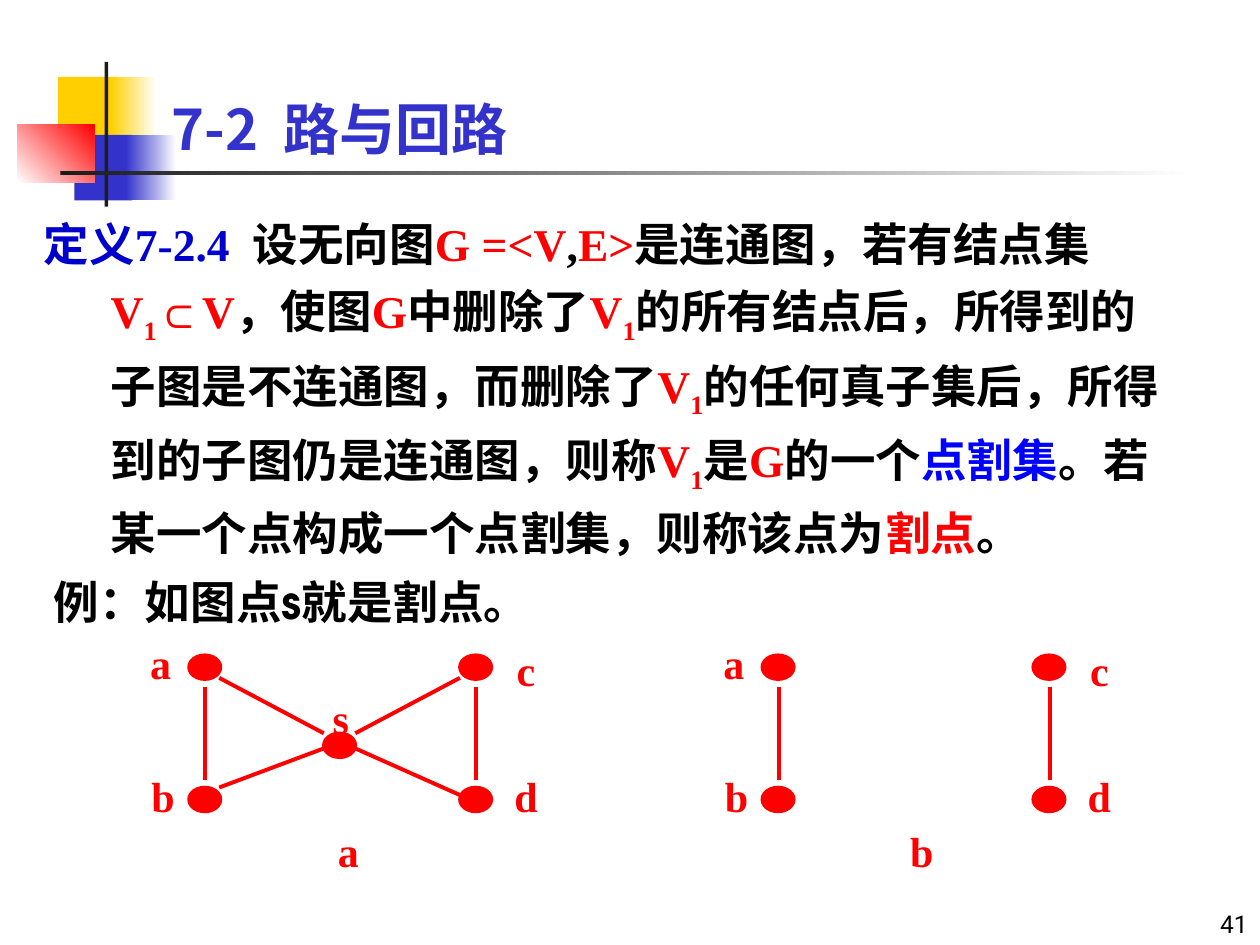
from dataclasses import dataclass
from typing import Optional

from lxml import etree
from pptx import Presentation
from pptx.dml.color import RGBColor
from pptx.enum.shapes import MSO_CONNECTOR, MSO_SHAPE
from pptx.enum.text import MSO_ANCHOR, MSO_AUTO_SIZE, PP_ALIGN
from pptx.oxml.ns import qn
from pptx.util import Inches, Pt

RECTANGLE, OVAL = MSO_SHAPE.RECTANGLE, MSO_SHAPE.OVAL
STRAIGHT = MSO_CONNECTOR.STRAIGHT
TOP, BOTTOM = MSO_ANCHOR.TOP, MSO_ANCHOR.BOTTOM
LEFT, CENTER, RIGHT = PP_ALIGN.LEFT, PP_ALIGN.CENTER, PP_ALIGN.RIGHT
NO_AUTOFIT = MSO_AUTO_SIZE.NONE

COLORS = {
    "yellow": "FFCF01", "indigo": "3333CC", "red": "FF0000", "white": "FFFFFF",
    "charcoal": "1C1C1C", "black": "000000", "navy": "0000CC", "blue": "0000FF",
}
SERIF, CJK = "Times New Roman", "Noto Sans CJK SC"
NODE_WIDTH, NODE_HEIGHT = 0.25, 0.19
LABEL_WIDTH, LABEL_HEIGHT = 0.55, 0.5


@dataclass(frozen=True)
class Block:
    left: float
    top: float
    width: float
    height: float
    start: str
    end: Optional[str] = None
    angle: float = 0


@dataclass(frozen=True)
class Span:
    text: str
    color: str = "black"
    subscript: bool = False


@dataclass(frozen=True)
class Label:
    text: str
    left: float
    top: float


@dataclass(frozen=True)
class Graph:
    left: float
    labels: tuple
    nodes: tuple
    edges: tuple


ORNAMENTS = (
    Block(0.46, 0.61, 0.48, 0.52, "yellow"),
    Block(0.88, 0.61, 0.36, 0.52, "yellow", "white"),
    Block(0.59, 1.07, 0.46, 0.52, "indigo"),
    Block(1, 1.07, 0.4, 0.52, "indigo", "white"),
    Block(0.14, 0.99, 0.61, 0.46, "white", "red", 45),
    Block(0.83, 0.49, 0.03, 1.15, "charcoal"),
    Block(0.48, 1.36, 9, 0.03, "charcoal", "white"),
)

V1 = (Span("V", "red"), Span("1", "red", True))
DEFINITION = (
    Span("定义7-2.4  ", "navy"), Span("设无向图"), Span("G =<V", "red"), Span(","),
    Span("E>", "red"), Span("是连通图，若有结点集"), *V1, Span("⊂V", "red"),
    Span("，使图"), Span("G", "red"), Span("中删除了"), *V1,
    Span("的所有结点后，所得到的子图是不连通图，而删除了"), *V1,
    Span("的任何真子集后，所得到的子图仍是连通图，则称"), *V1, Span("是"),
    Span("G", "red"), Span("的一个"), Span("点割集", "blue"),
    Span("。若某一个点构成一个点割集，则称该点为"), Span("割点", "red"), Span("。"),
)

CORNER_LABELS = (
    Label("a", 0, 0), Label("b", 0.02, 1.06), Label("c", 2.9, 0.06), Label("d", 2.9, 1.06),
)
CORNER_NODES = ((0.5, 0.19), (0.5, 1.24), (2.65, 0.19), (2.65, 1.24))
SIDE_EDGES = ((0.63, 0.44, 0.63, 1.18), (2.78, 0.44, 2.78, 1.18))
CUT_VERTEX_EDGES = (
    (0.74, 0.37, 1.57, 0.81), (1.82, 0.93, 2.65, 1.3),
    (0.74, 1.24, 1.57, 0.93), (1.82, 0.81, 2.65, 0.37),
)
GRAPH_TOP = 5.01
GRAPHS = (
    Graph(1, (Label("s", 1.43, 0.44), *CORNER_LABELS, Label("a", 1.49, 1.49)),
          (*CORNER_NODES, (1.57, 0.81)), SIDE_EDGES + CUT_VERTEX_EDGES),
    Graph(5.55, (*CORNER_LABELS, Label("b", 1.49, 1.49)), CORNER_NODES, SIDE_EDGES),
)


def rgb(color: str) -> RGBColor:
    return RGBColor.from_string(COLORS[color])


def format_run(run, size: float, font: str, color: str, bold: bool = True) -> None:
    run.font.size, run.font.name, run.font.bold = Pt(size), font, bold
    run.font.color.rgb = rgb(color)
    latin = run.font._element.find(qn("a:latin"))
    east_asian = etree.Element(qn("a:ea"), typeface=CJK)
    latin.addnext(east_asian)


def add_text(slide, text: str, left: float, top: float, width: float, height: float,
             size: float, font: str, color: str, align=LEFT, anchor=TOP,
             bold: bool = True, wrap: bool = True) -> None:
    frame = slide.shapes.add_textbox(
        Inches(left), Inches(top), Inches(width), Inches(height)).text_frame
    frame.word_wrap, frame.vertical_anchor = wrap, anchor
    frame.text = text
    paragraph = frame.paragraphs[0]
    paragraph.alignment = align
    format_run(paragraph.runs[0], size, font, color, bold)


def add_ornament(slide, block: Block) -> None:
    shape = slide.shapes.add_shape(
        RECTANGLE, Inches(block.left), Inches(block.top),
        Inches(block.width), Inches(block.height))
    shape.shadow.inherit = False
    shape.line.fill.background()
    if block.end is None:
        shape.fill.solid()
        shape.fill.fore_color.rgb = rgb(block.start)
        return
    shape.fill.gradient()
    shape.fill.gradient_angle = block.angle
    for stop, color in zip(shape.fill.gradient_stops, (block.start, block.end)):
        stop.color.rgb = rgb(color)


def set_title(slide, text: str) -> None:
    title = slide.shapes.title
    title.left, title.top = Inches(1.26), Inches(0.08)
    title.width, title.height = Inches(8.52), Inches(1.25)
    frame = title.text_frame
    frame.text = text
    frame.auto_size, frame.vertical_anchor = NO_AUTOFIT, BOTTOM
    frame.paragraphs[0].alignment = LEFT
    format_run(frame.paragraphs[0].runs[0], 32, CJK, "indigo")


def add_definition(slide, spans: tuple) -> None:
    frame = slide.shapes.add_textbox(
        Inches(0.25), Inches(1.58), Inches(9.17), Inches(2.75)).text_frame
    frame.word_wrap = True
    paragraph = frame.paragraphs[0]
    paragraph.line_spacing = 1.2
    properties = paragraph._p.get_or_add_pPr()
    properties.set("marL", str(Inches(0.53)))
    properties.set("indent", str(-Inches(0.53)))
    for span in spans:
        run = paragraph.add_run()
        run.text = span.text
        format_run(run, 26, SERIF, span.color)
        if span.subscript:
            run.font._element.set("baseline", "-25000")


def add_node(slide, left: float, top: float) -> None:
    node = slide.shapes.add_shape(
        OVAL, Inches(left), Inches(top), Inches(NODE_WIDTH), Inches(NODE_HEIGHT))
    node.shadow.inherit = False
    node.fill.solid()
    node.fill.fore_color.rgb = rgb("red")
    node.line.color.rgb = rgb("red")
    node.line.width = Pt(2)


def add_edge(slide, x1: float, y1: float, x2: float, y2: float) -> None:
    edge = slide.shapes.add_connector(
        STRAIGHT, Inches(x1), Inches(y1), Inches(x2), Inches(y2))
    edge.line.color.rgb = rgb("red")
    edge.line.width = Pt(2.25)
    etree.SubElement(edge._element.spPr, qn("a:effectLst"))


def add_graph(slide, graph: Graph) -> None:
    x, y = graph.left, GRAPH_TOP
    for label in graph.labels:
        add_text(slide, label.text, x + label.left, y + label.top, LABEL_WIDTH,
                 LABEL_HEIGHT, 24, SERIF, "red", CENTER)
    for left, top in graph.nodes:
        add_node(slide, x + left, y + top)
    for x1, y1, x2, y2 in graph.edges:
        add_edge(slide, x + x1, y + y1, x + x2, y + y2)


def main() -> None:
    deck = Presentation()
    deck.slide_width, deck.slide_height = Inches(10), Inches(7.5)
    slide = deck.slides.add_slide(deck.slide_layouts[5])
    for block in ORNAMENTS:
        add_ornament(slide, block)
    add_text(slide, "41", 7.92, 7, 2.08, 0.5, 14, "Roboto", "black", RIGHT, BOTTOM, False)
    set_title(slide, "7-2  路与回路")
    add_definition(slide, DEFINITION)
    for graph in GRAPHS:
        add_graph(slide, graph)
    add_text(slide, "例：如图点s就是割点。", 0.33, 4.51, 3.99, 0.53, 26,
             "TeX Gyre Adventor", "black", wrap=False)
    deck.save("out.pptx")


if __name__ == "__main__":
    main()
